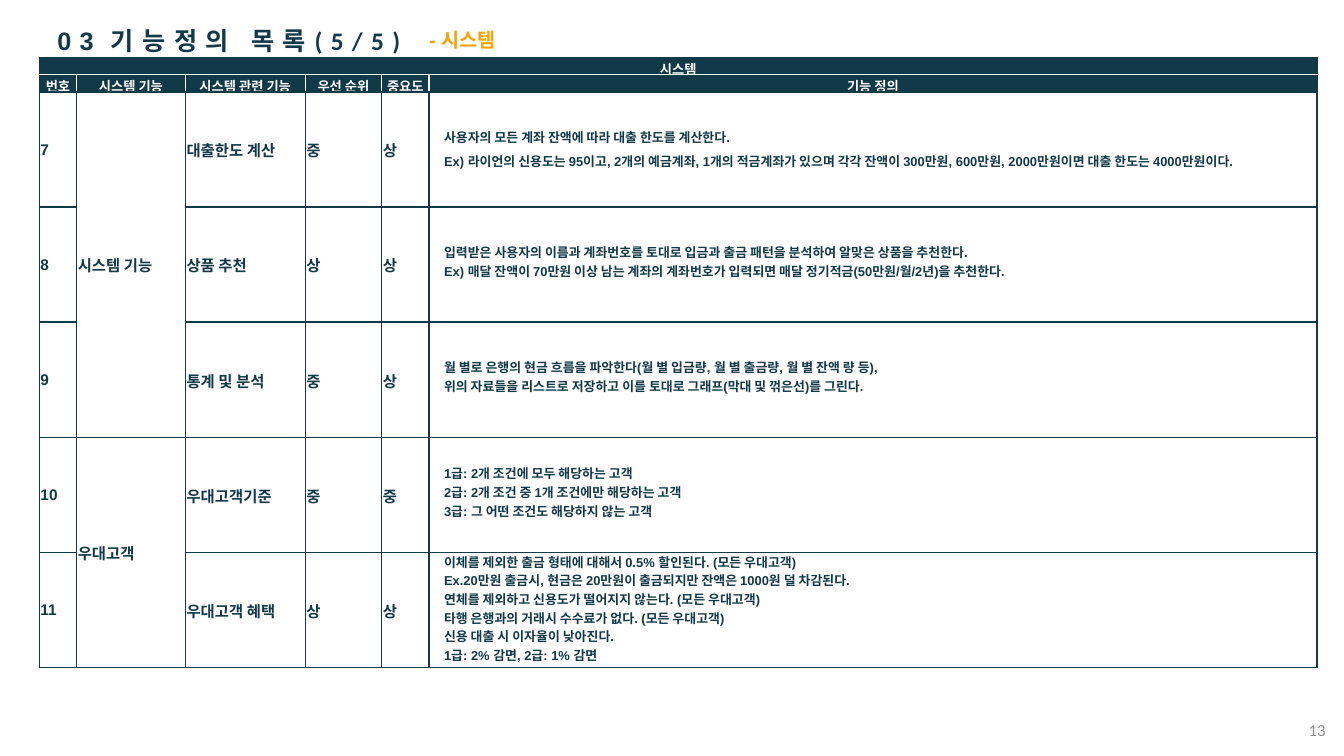
"""Build the system function definition slide (5/5)."""
from lxml.etree import SubElement
from pptx import Presentation
from pptx.dml.color import RGBColor
from pptx.enum.text import MSO_ANCHOR as Anchor, MSO_AUTO_SIZE as AutoSize, PP_ALIGN as Align
from pptx.oxml.ns import qn
from pptx.util import Cm, Pt

COLORS = {"navy": "113947", "white": "FFFFFF", "amber": "FBA305", "gray": "8C8C8C"}

TITLE_RUNS = [("03", 18, "Arial"), (" ", 1, "Calibri"), ("기능정의 목록(5/5)", 18, "Calibri")]
SUBTITLE = "- 시스템"
PAGE_NUMBER = "13"
TABLE_TITLE = "시스템"
HEADINGS = ["번호", "시스템 기능", "시스템 관련 기능", "우선 순위", "중요도", "기능 정의"]
FUNCTIONS = [
    ("7", "시스템 기능", "대출한도 계산", "중", "상", [
        "사용자의 모든 계좌 잔액에 따라 대출 한도를 계산한다.",
        "Ex) 라이언의 신용도는 95이고, 2개의 예금계좌, 1개의 적금계좌가 있으며 각각 잔액이 "
        "300만원, 600만원, 2000만원이면 대출 한도는 4000만원이다."]),
    ("8", "", "상품 추천", "상", "상", [
        "입력받은 사용자의 이름과 계좌번호를 토대로 입금과 출금 패턴을 분석하여 알맞은 상품을 추천한다.",
        "Ex) 매달 잔액이 70만원 이상 남는 계좌의 계좌번호가 입력되면 매달 정기적금(50만원/월/2년)을 추천한다."]),
    ("9", "", "통계 및 분석", "중", "상", [
        "월 별로 은행의 현금 흐름을 파악한다(월 별 입금량, 월 별 출금량, 월 별 잔액 량 등),",
        "위의 자료들을 리스트로 저장하고 이를 토대로 그래프(막대 및 꺾은선)를 그린다."]),
    ("10", "우대고객", "우대고객기준", "중", "중", [
        "1급: 2개 조건에 모두 해당하는 고객",
        "2급: 2개 조건 중 1개 조건에만 해당하는 고객",
        "3급: 그 어떤 조건도 해당하지 않는 고객"]),
    ("11", "", "우대고객 혜택", "상", "상", [
        "이체를 제외한 출금 형태에 대해서 0.5% 할인된다. (모든 우대고객)",
        "Ex.20만원 출금시, 현금은 20만원이 출금되지만 잔액은 1000원 덜 차감된다.",
        "연체를 제외하고 신용도가 떨어지지 않는다. (모든 우대고객)",
        "타행 은행과의 거래시 수수료가 없다. (모든 우대고객)",
        "신용 대출 시 이자율이 낮아진다.",
        "1급: 2% 감면, 2급: 1% 감면"]),
]
COLUMN_WIDTHS = [0.94, 2.74, 3.02, 1.93, 1.19, 22.38]
HEADING_HEIGHT, FUNCTION_HEIGHT = 0.43, 2.9
GROUPS = [(2, 4), (5, 6)]
SMALL_INSETS = (0.03, 0.03, 0.03, 0)
DEFINITION_INSETS = (0.38, 0, 0.38, 0.15)
LOOSE_ROW = 2


def rgb(color):
    return RGBColor.from_string(COLORS[color])


def add_run(paragraph, text, size, color="navy", face="Arial", bold=True):
    run = paragraph.add_run()
    run.text = text
    font = run.font
    font.size, font.name, font.bold = Pt(size), face, bold
    font.color.rgb = rgb(color)
    return run


def add_label(slide, box, text, size, color, **style):
    label = slide.shapes.add_textbox(*map(Cm, box))
    label.text_frame.word_wrap = True
    add_run(label.text_frame.paragraphs[0], text, size, color, **style)
    return label.text_frame


def set_borders(cell, white_sides):
    properties = cell._tc.get_or_add_tcPr()
    for side in "LRTB":
        line = SubElement(properties, qn(f"a:ln{side}"), w=str(Pt(1)))
        fill = SubElement(line, qn("a:solidFill"))
        color = "white" if side in white_sides else "navy"
        SubElement(fill, qn("a:srgbClr"), val=COLORS[color])


def fill_heading(cell):
    cell.fill.gradient()
    cell.fill.gradient_angle = 270
    for stop, color in zip(cell.fill.gradient_stops, ("navy", "white")):
        stop.position = 0.93
        stop.color.rgb = rgb(color)


def write_cell(cell, lines, size, color="navy", align=Align.LEFT, insets=SMALL_INSETS, spacing=None):
    (cell.margin_left, cell.margin_top,
     cell.margin_right, cell.margin_bottom) = map(Cm, insets)
    cell.vertical_anchor = Anchor.MIDDLE
    frame = cell.text_frame
    for index, line in enumerate(lines):
        paragraph = frame.add_paragraph() if index else frame.paragraphs[0]
        paragraph.alignment = align
        paragraph.line_spacing = spacing
        add_run(paragraph, line, size, color)


def add_title(slide):
    title = slide.shapes.title
    title.left, title.top, title.width, title.height = map(Cm, (1.19, 0.51, 9.83, 1.02))
    frame = title.text_frame
    frame.auto_size, frame.word_wrap = AutoSize.NONE, False
    frame.vertical_anchor = Anchor.TOP
    frame.paragraphs[0].alignment = Align.LEFT
    for text, size, face in TITLE_RUNS:
        run = add_run(frame.paragraphs[0], text, size, face=face)
        run.font._element.set("spc", "600")


def add_function_table(slide):
    heights = [HEADING_HEIGHT] * 2 + [FUNCTION_HEIGHT] * len(FUNCTIONS)
    last = len(COLUMN_WIDTHS) - 1
    box = (0.99, 1.45, sum(COLUMN_WIDTHS), sum(heights))
    table = slide.shapes.add_table(len(heights), last + 1, *map(Cm, box)).table
    table.first_row = table.horz_banding = False
    for column, width in zip(table.columns, COLUMN_WIDTHS):
        column.width = Cm(width)
    for row, height in zip(table.rows, heights):
        row.height = Cm(height)

    for index in range(last + 1):
        cell = table.cell(0, index)
        set_borders(cell, "B")
        cell.fill.solid()
        cell.fill.fore_color.rgb = rgb("navy")
    table.cell(0, 0).merge(table.cell(0, last))
    write_cell(table.cell(0, 0), [TABLE_TITLE], 9.5, "white", Align.CENTER)

    for index, heading in enumerate(HEADINGS):
        cell = table.cell(1, index)
        set_borders(cell, "T" + "L" * (index > 0) + "R" * (index < last))
        fill_heading(cell)
        write_cell(cell, [heading], 9.5, "white", Align.CENTER)

    for first, final in GROUPS:
        table.cell(first, 1).merge(table.cell(final, 1))
    for row, (*labels, definition) in enumerate(FUNCTIONS, 2):
        for index in range(last + 1):
            cell = table.cell(row, index)
            set_borders(cell, "")
            cell.fill.background()
            if index == last:
                write_cell(cell, definition, 9.2, insets=DEFINITION_INSETS,
                           spacing=1.25 if row == LOOSE_ROW else None)
            elif labels[index]:
                write_cell(cell, [labels[index]], 11)


def main():
    deck = Presentation()
    deck.slide_width, deck.slide_height = Cm(33.87), Cm(19.05)
    slide = deck.slides.add_slide(deck.slide_layouts[5])
    add_title(slide)
    add_label(slide, (10.57, 0.58, 5.59, 0.86), SUBTITLE, 14, "amber")
    add_function_table(slide)
    page = add_label(slide, (26.04, 17.88, 7.62, 1.02), PAGE_NUMBER, 12, "gray",
                     face="Calibri", bold=False)
    page.vertical_anchor = Anchor.MIDDLE
    page.paragraphs[0].alignment = Align.RIGHT
    deck.save("out.pptx")


if __name__ == "__main__":
    main()
